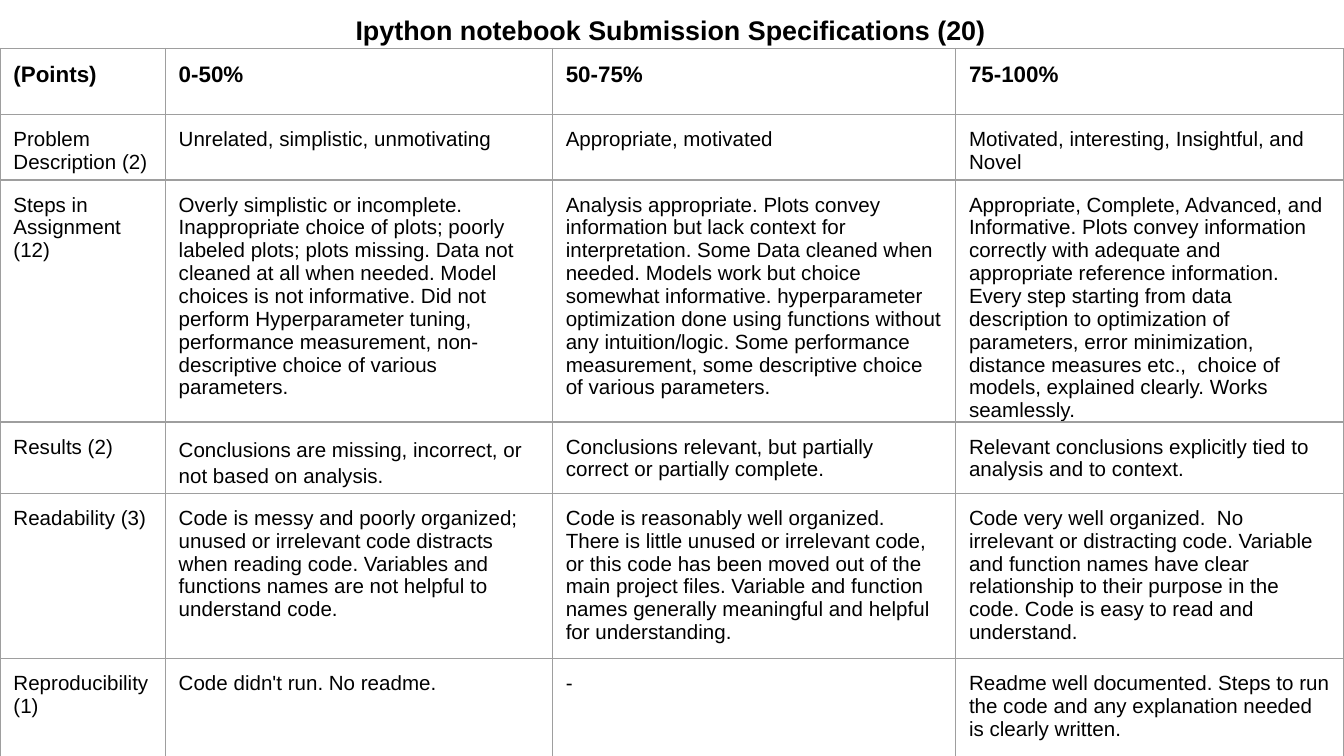
from dataclasses import dataclass

import pptx
import pptx.dml.color
import pptx.enum.text
import pptx.oxml
import pptx.oxml.ns
import pptx.util
from pptx.util import Inches

FONT = "Arial"
INK = "000000"
GRID = "9E9E9E"
PAGE_WIDTH = 10
PAGE_HEIGHT = PAGE_WIDTH * 9 / 16
COLUMN_WIDTHS = (1.23, 2.88, 3, 2.89)


@dataclass
class RubricRow:
    height: float
    texts: tuple[str, str, str, str]
    size: float = 11
    bold: bool = False


RUBRIC = [
    RubricRow(0.49, ("(Points)", "0-50%", "50-75%", "75-100%"), 12, True),
    RubricRow(0.49, (
        "Problem Description (2)",
        "Unrelated, simplistic, unmotivating",
        "Appropriate, motivated",
        "Motivated, interesting, Insightful, and Novel",
    )),
    RubricRow(1.8, (
        "Steps in Assignment (12)",
        "Overly simplistic or incomplete. Inappropriate choice of plots; poorly "
        "labeled plots; plots missing. Data not cleaned at all when needed. Model "
        "choices is not informative. Did not perform Hyperparameter tuning, "
        "performance measurement, non-descriptive choice of various parameters.",
        "Analysis appropriate. Plots convey information but lack context for "
        "interpretation. Some Data cleaned when needed. Models work but choice "
        "somewhat informative. hyperparameter optimization done using functions "
        "without any intuition/logic. Some performance measurement, some "
        "descriptive choice of various parameters.",
        "Appropriate, Complete, Advanced, and Informative. Plots convey information "
        "correctly with adequate and appropriate reference information. Every step "
        "starting from data description to optimization of parameters, error "
        "minimization, distance measures etc.,  choice of models, explained "
        "clearly. Works seamlessly.",
    )),
    RubricRow(0.53, (
        "Results (2)",
        "Conclusions are missing, incorrect, or not based on analysis.",
        "Conclusions relevant, but partially correct or partially complete.",
        "Relevant conclusions explicitly tied to analysis and to context.",
    )),
    RubricRow(1.23, (
        "Readability (3)",
        "Code is messy and poorly organized; unused or irrelevant code distracts "
        "when reading code. Variables and functions names are not helpful to "
        "understand code.",
        "Code is reasonably well organized.  There is little unused or irrelevant "
        "code, or this code has been moved out of the main project files. Variable "
        "and function names generally meaningful and helpful for understanding.",
        "Code very well organized.  No irrelevant or distracting code. Variable and "
        "function names have clear relationship to their purpose in the code. Code "
        "is easy to read and understand.",
    )),
    RubricRow(0.76, (
        "Reproducibility (1)",
        "Code didn't run. No readme.",
        "-",
        "Readme well documented. Steps to run the code and any explanation needed "
        "is clearly written.",
    )),
]


def color(value: str) -> pptx.dml.color.RGBColor:
    return pptx.dml.color.RGBColor.from_string(value)


def format_text(frame, size: float, bold: bool) -> None:
    for para in frame.paragraphs:
        for span in para.runs:
            span.font.name = FONT
            span.font.size = pptx.util.Pt(size)
            span.font.bold = bold
            span.font.color.rgb = color(INK)


def add_borders(cell) -> None:
    properties = cell._tc.get_or_add_tcPr()
    for index, side in enumerate(("lnL", "lnR", "lnT", "lnB")):
        border = pptx.oxml.parse_xml(
            f'<a:{side} {pptx.oxml.ns.nsdecls("a")} w="{pptx.util.Pt(0.75)}">'
            f'<a:solidFill><a:srgbClr val="{GRID}"/></a:solidFill></a:{side}>'
        )
        properties.insert(index, border)


def add_title(page, text: str) -> None:
    title = page.shapes.title
    title.left, title.top = Inches(0.33), Inches(0)
    title.width, title.height = Inches(9.32), Inches(0.37)
    frame = title.text_frame
    frame.text = text
    frame.word_wrap = True
    frame.auto_size = pptx.enum.text.MSO_AUTO_SIZE.NONE
    frame.vertical_anchor = pptx.enum.text.MSO_ANCHOR.TOP
    frame.margin_left = frame.margin_right = Inches(0.1)
    frame.margin_top = frame.margin_bottom = Inches(0.1)
    frame.paragraphs[0].alignment = pptx.enum.text.PP_ALIGN.CENTER
    format_text(frame, 14.4, True)


def fill_cell(cell, text: str, size: float, bold: bool) -> None:
    cell.text_frame.text = text
    cell.margin_left = cell.margin_right = cell.margin_top = Inches(0.1)
    cell.margin_bottom = Inches(0)
    cell.vertical_anchor = pptx.enum.text.MSO_ANCHOR.TOP
    cell.fill.background()
    format_text(cell.text_frame, size, bold)
    add_borders(cell)


def add_rubric(page, rows: list[RubricRow]) -> None:
    height = sum(row.height for row in rows)
    table = page.shapes.add_table(
        len(rows), len(COLUMN_WIDTHS),
        Inches(0), Inches(0.36), Inches(sum(COLUMN_WIDTHS)), Inches(height),
    ).table
    table.first_row = table.horz_banding = False
    for column, width in zip(table.columns, COLUMN_WIDTHS):
        column.width = Inches(width)
    for table_row, row in zip(table.rows, rows):
        table_row.height = Inches(row.height)
        for cell, text in zip(table_row.cells, row.texts):
            fill_cell(cell, text, row.size, row.bold)
    results_para = table.cell(3, 1).text_frame.paragraphs[0]
    results_para.line_spacing = 1.15
    results_para.space_after = pptx.util.Pt(16)


deck = pptx.Presentation()
deck.slide_width, deck.slide_height = Inches(PAGE_WIDTH), Inches(PAGE_HEIGHT)
page = deck.slides.add_slide(deck.slide_layouts.get_by_name("Title Only"))
add_title(page, "Ipython notebook Submission Specifications (20)")
add_rubric(page, RUBRIC)
deck.save("out.pptx")
